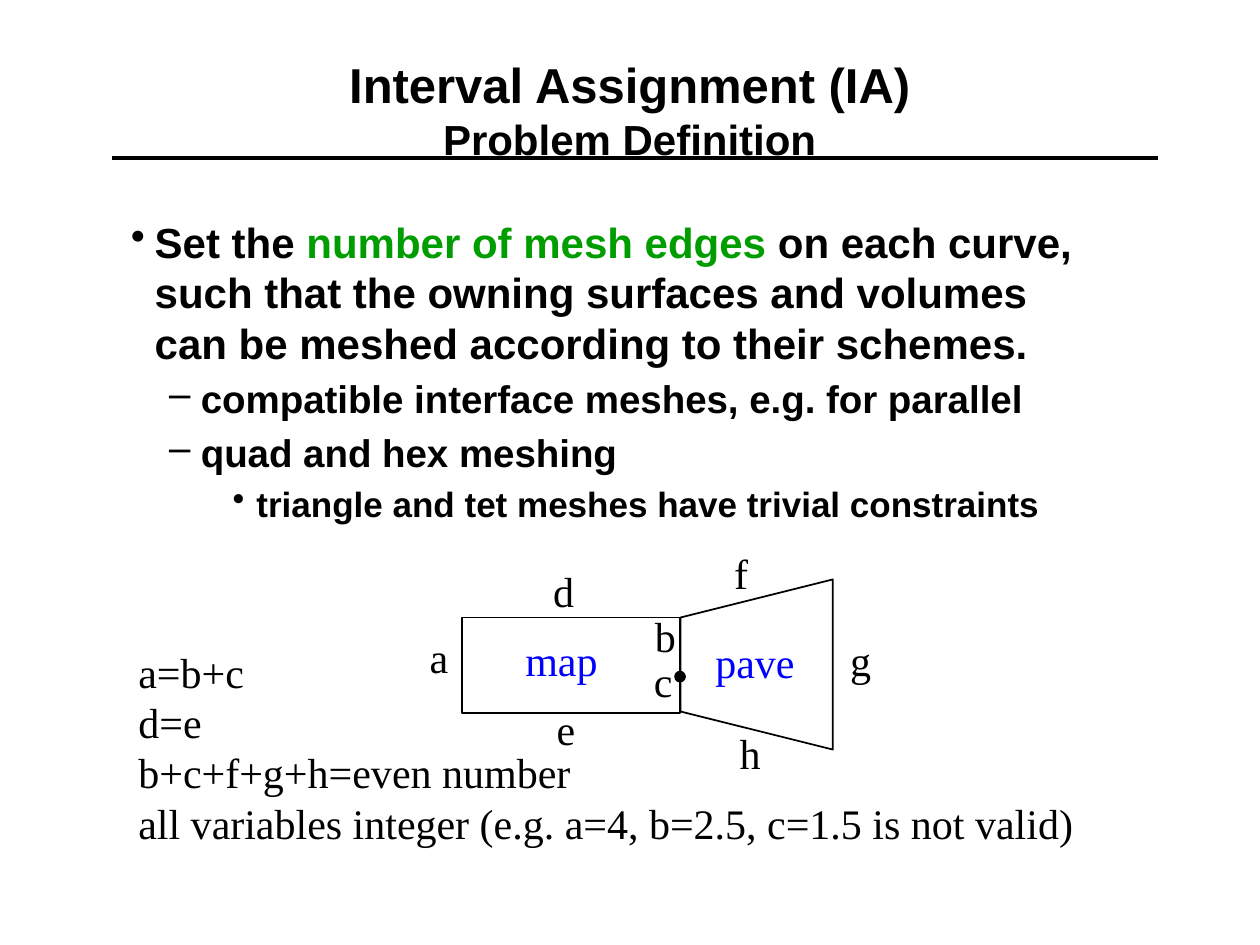
from dataclasses import dataclass

from lxml import etree
from pptx import Presentation
from pptx import util as u
from pptx.dml.color import RGBColor
from pptx.enum import shapes, text
from pptx.oxml import ns


@dataclass(frozen=True)
class Theme:
    ink: str = "000000"
    accent: str = "009D00"
    scheme: str = "0000FF"
    heading_font: str = "Arial"
    figure_font: str = "Times New Roman"
    title_size: int = 28
    base_size: int = 24
    level_sizes: tuple = (24, 22, 20)
    rule_width: int = 2
    edge_width: int = 1


THEME = Theme()

TITLE = [("Interval Assignment (IA)", THEME.title_size), ("Problem Definition", THEME.base_size)]
TITLE_BOX = (1.9, 0.79, 21.59, 2.82)
RULE = (2.26, 3.18, 23.34, 3.18)

BODY_BOX = (1.9, 4.24, 21.59, 5.61)
BODY = [
    (0, [
        ("Set the ", THEME.ink),
        ("number of mesh edges ", THEME.accent),
        ("on each curve, \nsuch that the owning surfaces and volumes \n"
         "can be meshed according to their schemes.", THEME.ink),
    ]),
    (1, [("compatible interface meshes, e.g. for parallel", THEME.ink)]),
    (1, [("quad and hex meshing", THEME.ink)]),
    (2, [("triangle and tet meshes have trivial constraints", THEME.ink)]),
]
BULLETS = [("•", 0.97, -0.48), ("–", 1.9, -0.64), ("•", 3.02, -0.48)]

MAP_SURFACE = (9.32, 12.45, 4.39, 1.93)
VERTEX = (13.61, 13.54, 0.2, 0.2)
PAVE_SURFACE = (13.54, 11.86, 3.43, 3.07)

LABEL_HEIGHT = 1.27
LABELS = [
    ("a", 8.41, 12.6, 0.91, THEME.ink),
    ("c", 12.93, 13.08, 0.89, THEME.ink),
    ("b", 12.95, 12.19, 0.94, THEME.ink),
    ("map", 10.34, 12.67, 1.98, THEME.scheme),
    ("e", 10.97, 14.05, 0.89, THEME.ink),
    ("d", 10.9, 11.28, 0.94, THEME.ink),
    ("h", 14.66, 14.55, 0.94, THEME.ink),
    ("g", 16.89, 12.67, 0.94, THEME.ink),
    ("f", 14.55, 10.92, 0.84, THEME.ink),
    ("pave", 14.17, 12.7, 2.13, THEME.scheme),
]

CONSTRAINTS_BOX = (2.54, 12.9, 19.56, 4.37)
CONSTRAINTS = [
    "a=b+c",
    "d=e",
    "b+c+f+g+h=even number",
    "all variables integer (e.g. a=4, b=2.5, c=1.5 is not valid)",
]


def cm(lengths):
    return [u.Cm(length) for length in lengths]


def color(value):
    return RGBColor.from_string(value)


def add_frame(slide, box, wrap=True):
    frame = slide.shapes.add_textbox(*cm(box)).text_frame
    frame.word_wrap = wrap
    return frame


def next_paragraph(frame, index):
    return frame.add_paragraph() if index else frame.paragraphs[0]


def add_words(paragraph, words, size, font, ink, bold=False):
    for index, line in enumerate(words.split("\n")):
        if index:
            paragraph.add_line_break()
        run = paragraph.add_run()
        run.text = line
        run.font.name = font
        run.font.size = u.Pt(size)
        run.font.bold = bold
        run.font.color.rgb = color(ink)


def add_title(slide):
    frame = add_frame(slide, TITLE_BOX)
    frame.vertical_anchor = text.MSO_ANCHOR.MIDDLE
    paragraph = frame.paragraphs[0]
    paragraph.alignment = text.PP_ALIGN.CENTER
    for index, (line, size) in enumerate(TITLE):
        if index:
            paragraph.add_line_break()
        add_words(paragraph, line, size, THEME.heading_font, THEME.ink, True)


def add_rule(slide):
    rule = slide.shapes.add_connector(shapes.MSO_CONNECTOR.STRAIGHT, *cm(RULE))
    rule.line.color.rgb = color(THEME.ink)
    rule.line.width = u.Pt(THEME.rule_width)
    etree.SubElement(rule._element.spPr, ns.qn("a:effectLst"))


def add_body(slide):
    frame = add_frame(slide, BODY_BOX)
    for index, (level, parts) in enumerate(BODY):
        paragraph = next_paragraph(frame, index)
        paragraph.level = level
        size = THEME.level_sizes[level]
        mark, margin, indent = BULLETS[level]
        properties = paragraph._p.get_or_add_pPr()
        properties.set("marL", str(u.Cm(margin)))
        properties.set("indent", str(u.Cm(indent)))
        etree.SubElement(properties, ns.qn("a:buChar")).set("char", mark)
        if index:
            paragraph.space_before = u.Pt(size * 0.2)
        for words, ink in parts:
            add_words(paragraph, words, size, THEME.heading_font, ink, True)


def add_outline(slide, preset, box, fill=None, rotation=0):
    outline = slide.shapes.add_shape(preset, *cm(box))
    outline.shadow.inherit = False
    outline.rotation = rotation
    outline.line.color.rgb = color(THEME.ink)
    outline.line.width = u.Pt(THEME.edge_width)
    if fill:
        outline.fill.solid()
        outline.fill.fore_color.rgb = color(fill)
    else:
        outline.fill.background()


def add_figure(slide):
    preset = shapes.MSO_SHAPE
    add_outline(slide, preset.RECTANGLE, MAP_SURFACE)
    add_outline(slide, preset.OVAL, VERTEX, fill=THEME.ink)
    add_outline(slide, preset.TRAPEZOID, PAVE_SURFACE, rotation=270)
    for label, left, top, width, ink in LABELS:
        frame = add_frame(slide, (left, top, width, LABEL_HEIGHT), wrap=False)
        add_words(frame.paragraphs[0], label, THEME.base_size, THEME.figure_font, ink)


def add_constraints(slide):
    frame = add_frame(slide, CONSTRAINTS_BOX, wrap=False)
    for index, constraint in enumerate(CONSTRAINTS):
        add_words(next_paragraph(frame, index), constraint, THEME.base_size,
                  THEME.figure_font, THEME.ink)


def main():
    deck = Presentation()
    deck.slide_width, deck.slide_height = cm((25.4, 19.05))
    slide = deck.slides.add_slide(deck.slide_layouts[6])
    add_rule(slide)
    add_title(slide)
    add_body(slide)
    add_figure(slide)
    add_constraints(slide)
    deck.save("out.pptx")


if __name__ == "__main__":
    main()
